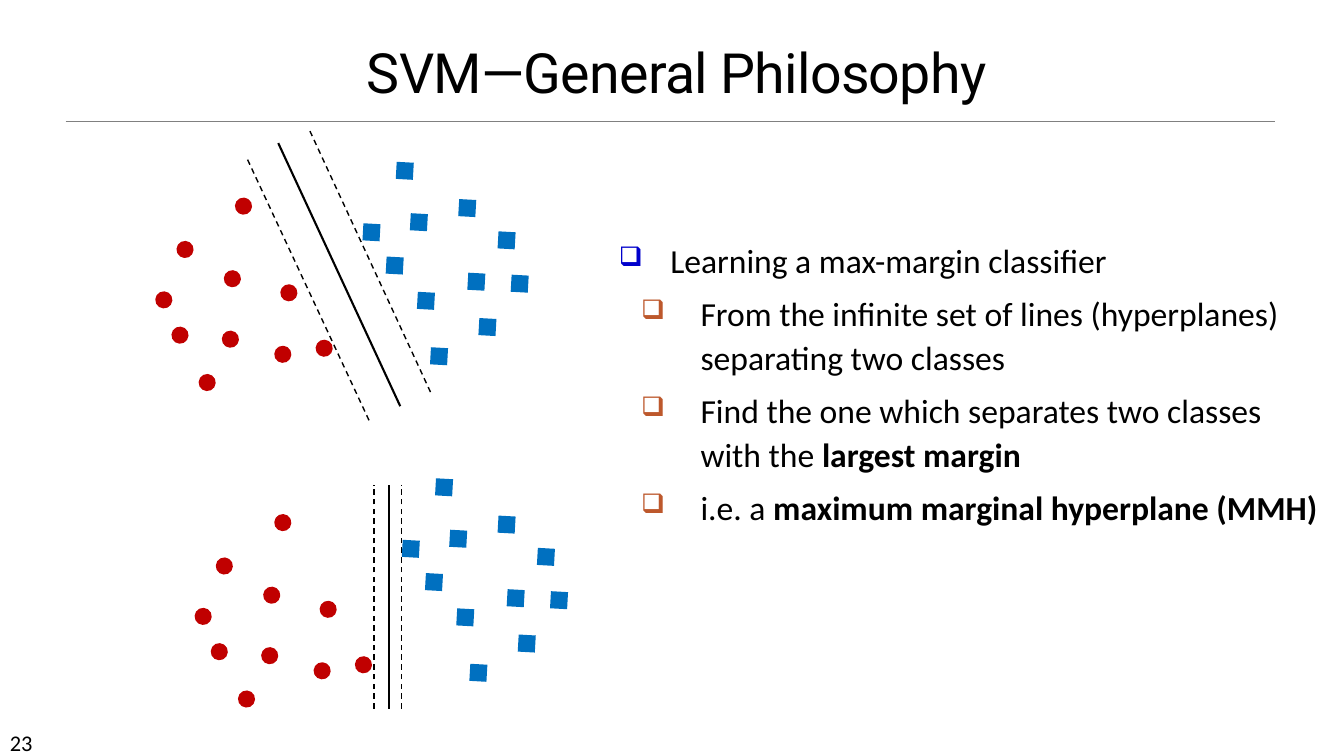
from dataclasses import dataclass

from lxml.etree import SubElement
from pptx import Presentation
from pptx.dml.color import RGBColor
from pptx.enum.dml import MSO_LINE
from pptx.enum.shapes import MSO_CONNECTOR, MSO_SHAPE
from pptx.enum.text import MSO_ANCHOR, PP_ALIGN
from pptx.oxml.ns import qn
from pptx.util import Inches, Pt


@dataclass(frozen=True)
class Theme:
    """Colours, fonts and sizes of the slide."""
    ink: str = "000000"
    rule: str = "808080"
    square: str = "0070C0"
    circle: str = "C00000"
    main_bullet: str = "0000CC"
    sub_bullet: str = "BD582C"
    title_font: str = "Roboto"
    body_font: str = "Calibri"
    title_size: float = 39.6
    body_size: float = 24
    number_size: float = 16
    marker: float = 0.17


THEME = Theme()

SQUARES = [(3.6, 2.22), (4.07, 2.12), (4.55, 1.98), (3.83, 2.55), (4.64, 2.71), (4.14, 2.9),
           (4.75, 3.16), (5.07, 2.73), (4.27, 3.45), (4.94, 2.3), (3.93, 1.61)]
CIRCLES = [(1.75, 2.39), (2.33, 1.96), (2.22, 2.68), (1.54, 2.89), (2.78, 2.82),
           (2.2, 3.28), (2.72, 3.43), (1.7, 3.24), (1.97, 3.71), (3.13, 3.37)]
WIDE_MARGIN = [((3.97, 4.03), (2.76, 1.42)), ((3.66, 4.17), (2.44, 1.55)),
               ((4.27, 3.89), (3.06, 1.27))]
NARROW_MARGIN = [((x, 7.03), (x, 4.81)) for x in (3.86, 3.71, 3.98)]
PANELS = [((0, 0), WIDE_MARGIN), ((0.39, 3.14), NARROW_MARGIN)]

POINTS = [
    (0, [("Learning a max-margin classifier", False)]),
    (1, [("From the infinite set of lines (hyperplanes) separating two classes", False)]),
    (1, [("Find the one which separates two classes with the ", False),
         ("largest margin", True)]),
    (1, [("i.e. a ", False), ("maximum marginal hyperplane (MMH)", True)]),
]


def add_line(shapes, start, end, color, width, dashed=False):
    """Draw a straight line between two points."""
    line = shapes.add_connector(MSO_CONNECTOR.STRAIGHT, *map(Inches, (*start, *end)))
    line.line.color.rgb = RGBColor.from_string(color)
    line.line.width = Pt(width)
    if dashed:
        line.line.dash_style = MSO_LINE.DASH
    SubElement(line._element.spPr, qn("a:effectLst"))


def add_marker(shapes, kind, position, color, rotation):
    """Draw one data point of a class."""
    marker = shapes.add_shape(kind, *map(Inches, (*position, THEME.marker, THEME.marker)))
    marker.rotation = rotation
    marker.shadow.inherit = False
    marker.fill.solid()
    marker.fill.fore_color.rgb = RGBColor.from_string(color)
    marker.line.fill.background()


def add_panel(slide, offset, margin):
    """Group both classes with their separating line and its margins."""
    shapes = slide.shapes.add_group_shape().shapes
    dx, dy = offset
    for kind, positions, color, rotation in (
            (MSO_SHAPE.RECTANGLE, SQUARES, THEME.square, 3.2),
            (MSO_SHAPE.OVAL, CIRCLES, THEME.circle, 4)):
        for x, y in positions:
            add_marker(shapes, kind, (x + dx, y + dy), color, rotation)
    separator, *borders = margin
    add_line(shapes, *separator, THEME.ink, 1.5)
    for border in borders:
        add_line(shapes, *border, THEME.ink, 1, dashed=True)


def style_font(font, name, size):
    """Set the face, size and colour of a font."""
    font.name = name
    font.size = Pt(size)
    font.color.rgb = RGBColor.from_string(THEME.ink)


def add_text_frame(slide, area):
    """Add a wrapping text box and return its frame."""
    frame = slide.shapes.add_textbox(*map(Inches, area)).text_frame
    frame.word_wrap = True
    return frame


def add_label(slide, area, text, font, size):
    """Add a single line of text and return its frame."""
    frame = add_text_frame(slide, area)
    frame.text = text
    style_font(frame.paragraphs[0].runs[0].font, font, size)
    return frame


def add_title(slide, text):
    """Add the centred slide title."""
    frame = add_label(slide, (2, 0.42, 9.42, 0.67), text, THEME.title_font, THEME.title_size)
    frame.vertical_anchor = MSO_ANCHOR.BOTTOM
    heading = frame.paragraphs[0]
    heading.alignment = PP_ALIGN.CENTER
    heading.line_spacing = 0.85
    heading.runs[0].font._element.set("spc", "-50")


def set_bullet(paragraph, color, left, hanging):
    """Give a paragraph a coloured box bullet and a hanging indent."""
    props = paragraph._p.get_or_add_pPr()
    props.set("marL", str(Inches(left)))
    props.set("indent", str(-Inches(hanging)))
    SubElement(SubElement(props, qn("a:buClr")), qn("a:srgbClr"), val=color)
    SubElement(props, qn("a:buSzPct"), val="80000")
    SubElement(props, qn("a:buChar"), char="❑")


def add_points(slide, points):
    """Add the bulleted explanation."""
    frame = add_text_frame(slide, (6.04, 2.29, 7.16, 4))
    bullets = [(THEME.main_bullet, 0.51, 0.51), (THEME.sub_bullet, 0.81, 0.59)]
    for index, (level, parts) in enumerate(points):
        point = frame.add_paragraph() if index else frame.paragraphs[0]
        set_bullet(point, *bullets[level])
        point.level = level
        point.line_spacing = 1.1
        point.space_before = Pt(6 if index else 0)
        for text, bold in parts:
            run = point.add_run()
            run.text = text
            style_font(run.font, THEME.body_font, THEME.body_size)
            run.font.bold = bold


def main():
    """Build the slide and save it."""
    deck = Presentation()
    deck.slide_width, deck.slide_height = Inches(13.33), Inches(7.5)
    slide = deck.slides.add_slide(deck.slide_layouts[6])
    add_line(slide.shapes, (0.65, 1.2), (12.65, 1.2), THEME.rule, 0.5)
    add_label(slide, (0, 7.18, 1.17, 0.3), "23", THEME.body_font, THEME.number_size)
    add_title(slide, "SVM—General Philosophy")
    add_points(slide, POINTS)
    for offset, margin in PANELS:
        add_panel(slide, offset, margin)
    deck.save("out.pptx")


if __name__ == "__main__":
    main()
